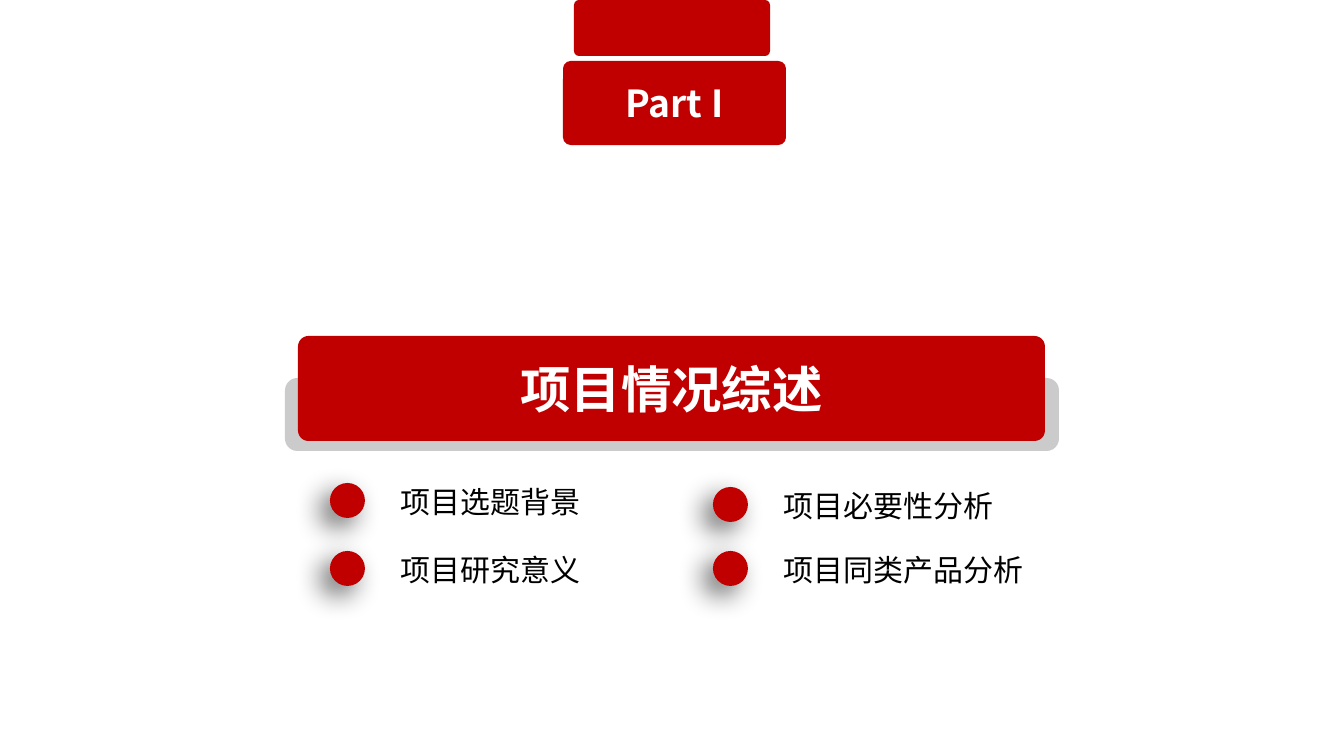
from lxml.etree import SubElement
from pptx import Presentation
from pptx.dml.color import RGBColor
from pptx.enum.shapes import MSO_SHAPE
from pptx.enum.text import MSO_ANCHOR, PP_ALIGN
from pptx.oxml.ns import qn
from pptx.util import Pt

COLORS = {"red": "C00000", "gray": "CBCBCB", "white": "FFFFFF", "black": "000000"}
FONT = "Noto Sans CJK SC"
EMU_PER_PX = 914400 / 100.8

# left, top, width, height, corner ratio, colour, text, text size
BANNERS = [
    (285, 378, 774, 73, 0.17, "gray", "", 0),
    (298, 336, 747, 105, 0.1, "red", "项目情况综述", 36),
    (574, 0, 196, 56, 0.09, "red", "", 0),
    (563, 61, 223, 84, 0.09, "red", "Part I", 26.6),
]
# left and top of the dot, topic
TOPICS = [
    (330, 483, "项目选题背景"),
    (713, 487, "项目必要性分析"),
    (330, 551, "项目研究意义"),
    (713, 551, "项目同类产品分析"),
]
DOT_SIZE = 35
LABEL_SHIFT = (61, -4)
LABEL_SIZE = (381, 46)


def px(*lengths):
    return [round(length * EMU_PER_PX) for length in lengths]


def write(shape, text, size, color, bold=False):
    para = shape.text_frame.paragraphs[0]
    para.text = text
    font = para.font
    font.name, font.size, font.bold = FONT, Pt(size), bold
    font.color.rgb = RGBColor.from_string(COLORS[color])
    defaults = para._p.pPr.find(qn("a:defRPr"))
    SubElement(defaults, qn("a:ea"), typeface=FONT)
    return para


def add_solid(page, preset, box, color):
    shape = page.shapes.add_shape(preset, *px(*box))
    shape.shadow.inherit = False
    shape.fill.solid()
    shape.fill.fore_color.rgb = RGBColor.from_string(COLORS[color])
    shape.line.fill.background()
    return shape


def add_banner(page, box, corner, color, text, size):
    banner = add_solid(page, MSO_SHAPE.ROUNDED_RECTANGLE, box, color)
    banner.adjustments[0] = corner
    if text:
        banner.text_frame.vertical_anchor = MSO_ANCHOR.MIDDLE
        write(banner, text, size, "white", bold=True).alignment = PP_ALIGN.CENTER


def cast_shadow(shape):
    """Add a soft shadow falling to the lower left."""
    effects = shape._element.spPr.find(qn("a:effectLst"))
    shadow = SubElement(effects, qn("a:outerShdw"), blurRad=str(Pt(20)),
                        dist=str(Pt(10)), dir=str(135 * 60000),
                        algn="tr", rotWithShape="0")
    tint = SubElement(shadow, qn("a:srgbClr"), val=COLORS["black"])
    SubElement(tint, qn("a:alpha"), val="60000")


def add_topic(page, left, top, text):
    dot = add_solid(page, MSO_SHAPE.OVAL, (left, top, DOT_SIZE, DOT_SIZE), "red")
    cast_shadow(dot)
    shift_x, shift_y = LABEL_SHIFT
    label = page.shapes.add_textbox(*px(left + shift_x, top + shift_y, *LABEL_SIZE))
    label.text_frame.word_wrap = True
    write(label, text, 21.4, "black")


def main():
    deck = Presentation()
    deck.slide_width, deck.slide_height = px(1344, 756)
    page = deck.slides.add_slide(deck.slide_layouts[6])
    for *box, corner, color, text, size in BANNERS:
        add_banner(page, box, corner, color, text, size)
    for topic in TOPICS:
        add_topic(page, *topic)
    deck.save("out.pptx")


if __name__ == "__main__":
    main()
